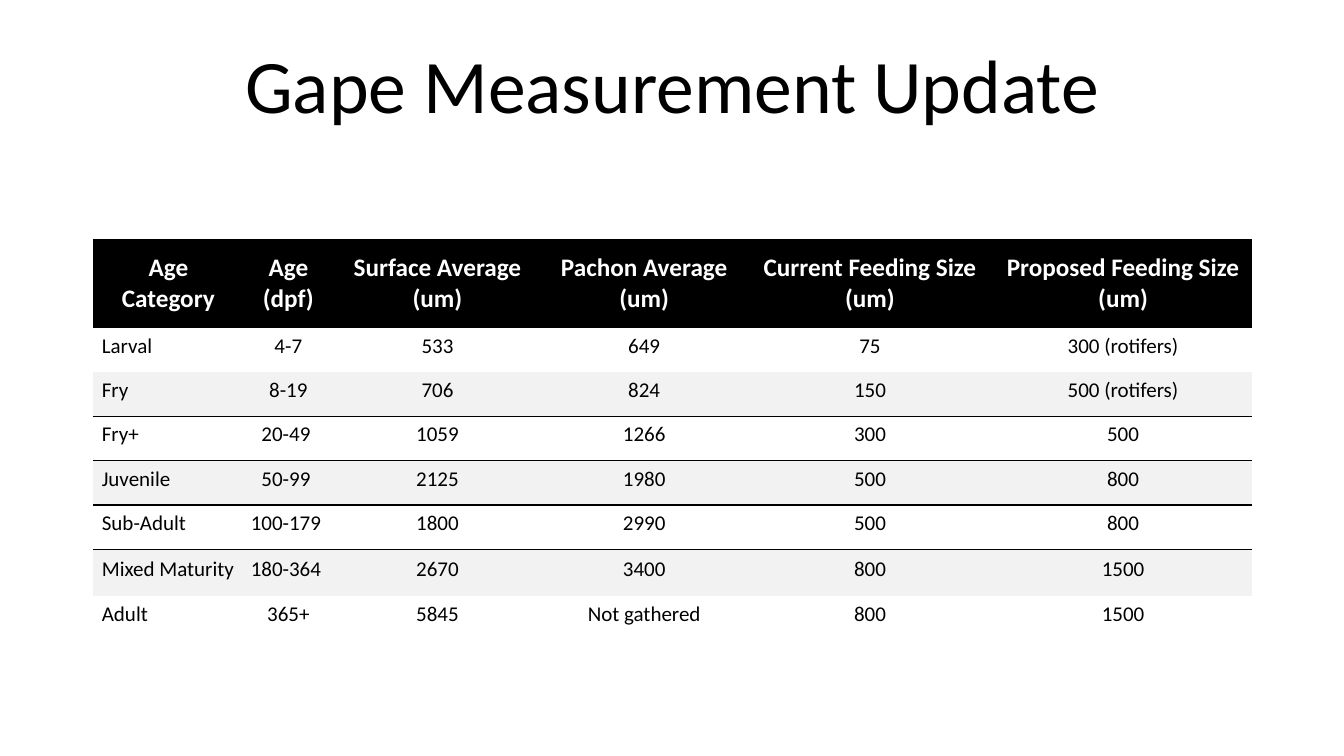
import pptx
import pptx.util
import pptx.dml.color
import pptx.enum.text
import pptx.oxml
import pptx.oxml.ns

Inches, Pt = pptx.util.Inches, pptx.util.Pt
Color = pptx.dml.color.RGBColor
Align, Anchor = pptx.enum.text.PP_ALIGN, pptx.enum.text.MSO_ANCHOR

# Content
TITLE = "Gape Measurement Update"
HEAD = ("Age Category", "Age (dpf)", "Surface Average (um)",
        "Pachon Average (um)", "Current Feeding Size (um)",
        "Proposed Feeding Size (um)")
STAGES = [
    ("Larval", "4-7", "533", "649", "75", "300 (rotifers)"),
    ("Fry", "8-19", "706", "824", "150", "500 (rotifers)"),
    ("Fry+", "20-49 ", "1059", "1266", "300", "500"),
    ("Juvenile", "50-99 ", "2125", "1980", "500", "800"),
    ("Sub-Adult", "100-179 ", "1800", "2990", "500", "800"),
    ("Mixed Maturity", "180-364 ", "2670", "3400", "800", "1500"),
    ("Adult", "365+", "5845", "Not gathered", "800", "1500"),
]
ROWS = [HEAD] + STAGES
RULED = (2, 4)  # rows with a line below

# Layout and style
LEFT, WIDTH = 0.92, 11.5
COLS = (1.47, 0.91, 2.05, 2.05, 2.43, 2.59)
HIGH = (0.88, 0.44, 0.44, 0.44, 0.44, 0.44, 0.46, 0.44)
FONT = "Calibri"
BLACK = Color(0, 0, 0)
WHITE = Color(255, 255, 255)
GREY = Color(0xF2, 0xF2, 0xF2)
NO_STYLE = "{2D5ABB26-0587-4C30-8999-92F81FD0307C}"


def style(para, size, color, align, bold=False):
    para.alignment = align
    font = para.font
    font.name, font.size, font.bold = FONT, Pt(size), bold
    font.color.rgb = color


def rule(cell, side):
    """Draw a black 1 pt line on one side (lnT or lnB) of a cell."""
    line = pptx.oxml.parse_xml(
        f'<a:{side} {pptx.oxml.ns.nsdecls("a")} w="{Pt(1)}">'
        f'<a:solidFill><a:srgbClr val="{BLACK}"/></a:solidFill></a:{side}>')
    cell._tc.get_or_add_tcPr().insert(0, line)


deck = pptx.Presentation()
deck.slide_width, deck.slide_height = Inches(13.33), Inches(7.5)
slide = deck.slides.add_slide(deck.slide_layouts[6])

# Title
box = slide.shapes.add_textbox(
    Inches(LEFT), Inches(0.32), Inches(WIDTH), Inches(1.02))
frame = box.text_frame
frame.word_wrap = True
frame.vertical_anchor = Anchor.BOTTOM
frame.text = TITLE
style(frame.paragraphs[0], 54, BLACK, Align.CENTER)
frame.paragraphs[0].line_spacing = 0.9

# Table
table = slide.shapes.add_table(
    len(ROWS), len(COLS), Inches(LEFT), Inches(2.37),
    Inches(WIDTH), Inches(sum(HIGH))).table
table.horz_banding = False
table._tbl.tblPr.find(pptx.oxml.ns.qn("a:tableStyleId")).text = NO_STYLE
for col, width in zip(table.columns, COLS):
    col.width = Inches(width)
for row, high in zip(table.rows, HIGH):
    row.height = Inches(high)

# Cells
for r, texts in enumerate(ROWS):
    head = r == 0
    for c, text in enumerate(texts):
        cell = table.cell(r, c)
        cell.text = text
        cell.margin_left, cell.margin_right = Inches(0.09), Inches(0.06)
        cell.margin_top = Inches(0.13 if head else 0.01)
        cell.margin_bottom = Inches(0.13)
        cell.vertical_anchor = Anchor.MIDDLE if head else Anchor.BOTTOM
        para = cell.text_frame.paragraphs[0]
        if head:
            style(para, 18, WHITE, Align.CENTER, True)
        else:
            style(para, 15, BLACK, Align.CENTER if c else Align.LEFT)
        if head or r % 2 == 0:
            cell.fill.solid()
            cell.fill.fore_color.rgb = BLACK if head else GREY
        else:
            cell.fill.background()
        if r in RULED:
            rule(cell, "lnB")
        if r - 1 in RULED:
            rule(cell, "lnT")

deck.save("out.pptx")
